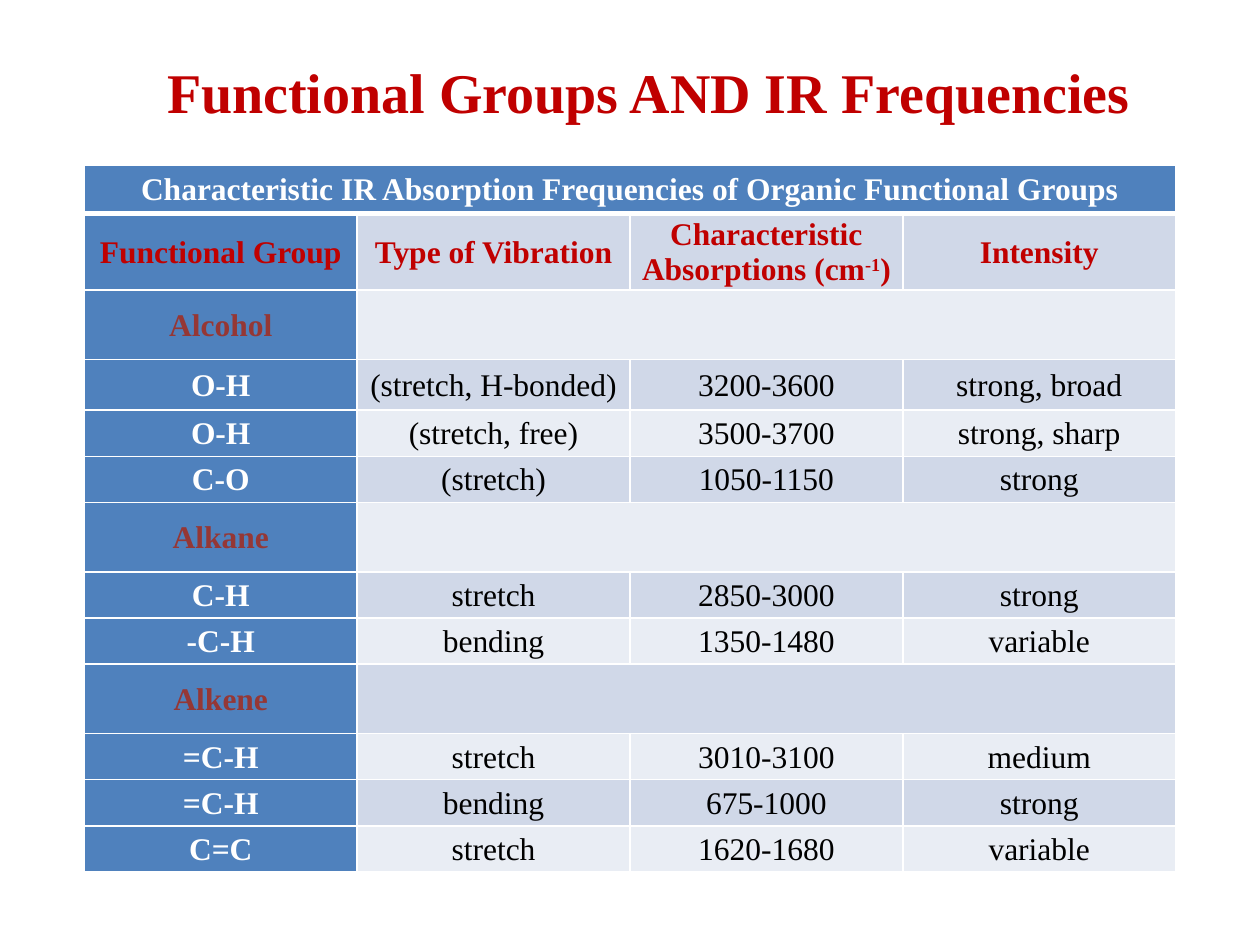
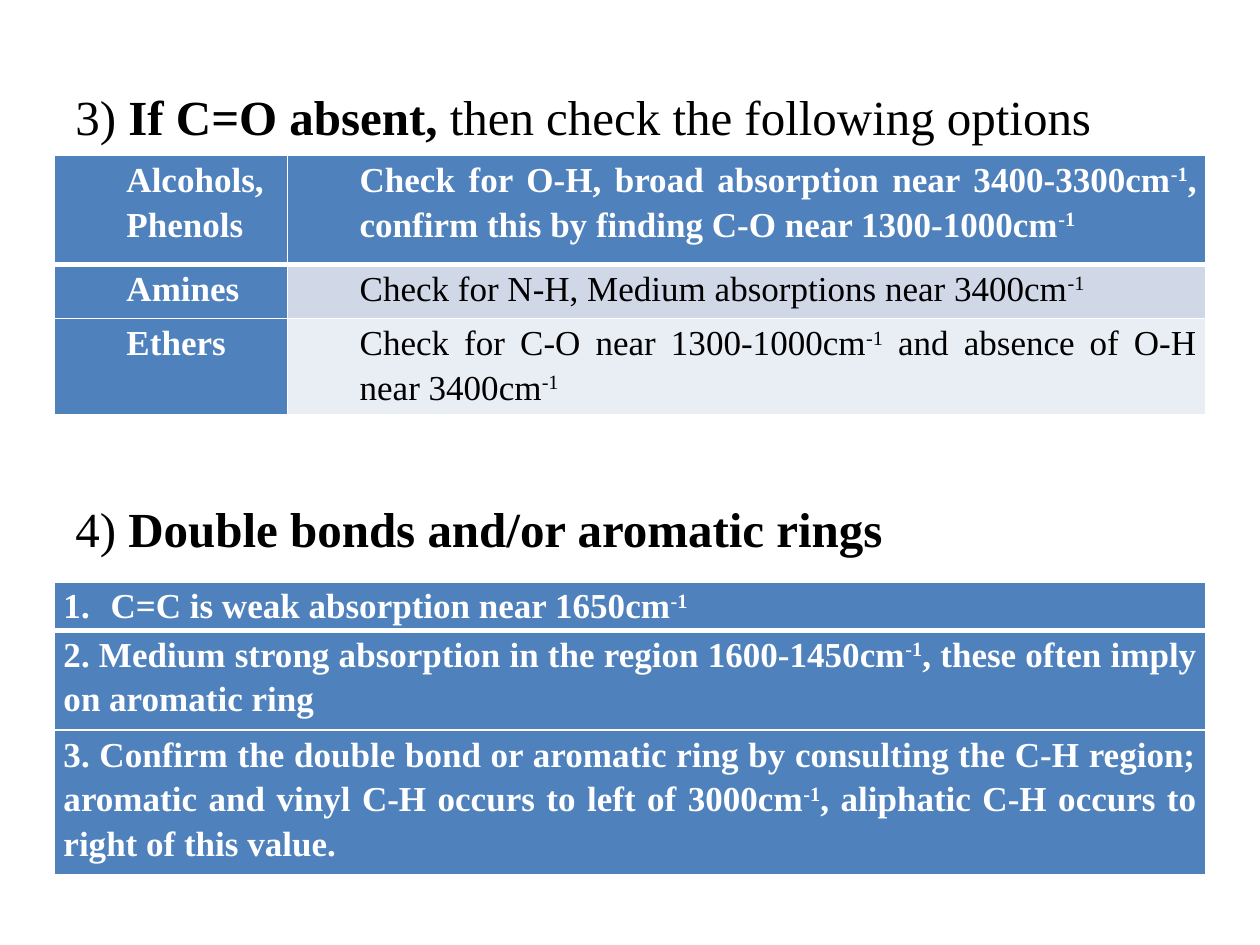
from lxml import etree
from pptx import Presentation
from pptx.dml.color import RGBColor
from pptx.enum.text import MSO_ANCHOR as Anchor, PP_ALIGN as Align
from pptx.oxml.ns import qn
from pptx.util import Cm, Pt

FONT = "Times New Roman"
BLUE, WHITE, BLACK = "4F81BD", "FFFFFF", "000000"
RED, BROWN = "C00000", "953735"
BANDS = ("E9EDF4", "D0D8E8")

TITLE_ONLY, BLANK = 5, 6

# The last cell of a short row spans the remaining columns.
FREQUENCIES = [
    ("Characteristic IR Absorption Frequencies of Organic Functional Groups",),
    ("Functional Group", "Type of Vibration",
     "Characteristic Absorptions (cm^-1^)", "Intensity"),
    ("Alcohol", ""),
    ("O-H", "(stretch, H-bonded)", "3200-3600", "strong, broad"),
    ("O-H", "(stretch, free)", "3500-3700", "strong, sharp"),
    ("C-O", "(stretch)", "1050-1150", "strong"),
    ("Alkane", ""),
    ("C-H", "stretch", "2850-3000", "strong"),
    ("-C-H", "bending", "1350-1480", "variable"),
    ("Alkene", ""),
    ("=C-H", "stretch", "3010-3100", "medium"),
    ("=C-H", "bending", "675-1000", "strong"),
    ("C=C", "stretch", "1620-1680", "variable"),
]
OPTIONS = [
    ("Alcohols, Phenols",
     "Check for O-H, broad absorption near 3400-3300cm^-1^, "
     "confirm this by finding C-O near 1300-1000cm^-1^"),
    ("Amines", "Check for N-H, Medium absorptions near 3400cm^-1^"),
    ("Ethers", "Check for C-O near 1300-1000cm^-1^ and absence of O-H near 3400cm^-1^"),
]
DOUBLE_BONDS = [
    ("C=C is weak absorption near 1650cm^-1^",),
    ("2. Medium strong absorption in the region 1600-1450cm^-1^, "
     "these often imply on aromatic ring",),
    ("3. Confirm the double bond or aromatic ring by consulting the C-H region; "
     "aromatic and vinyl C-H occurs to left of 3000cm^-1^, "
     "aliphatic C-H occurs to right of this value.",),
]


def rgb(value):
    return RGBColor.from_string(value)


def set_font(font, size, color, bold=None):
    font.name, font.size, font.bold = FONT, Pt(size), bold
    font.color.rgb = rgb(color)


def add_runs(p, text):
    """Add text to p, raising the parts between carets."""
    for i, part in enumerate(text.split("^")):
        if part:
            r = p.add_run()
            r.text = part
            if i % 2:
                r._r.get_or_add_rPr().set("baseline", "30000")


def set_indent(p, left, first=0):
    pPr = p._p.get_or_add_pPr()
    pPr.set("marL", str(Cm(left)))
    pPr.set("indent", str(Cm(first)))


def set_borders(cell, top, bottom):
    """Draw white cell borders; top and bottom are widths in points."""
    tcPr = cell._tc.get_or_add_tcPr()
    for i, (side, width) in enumerate(zip("LRTB", (1, 1, top, bottom))):
        ln = etree.Element(qn("a:ln" + side), w=str(Pt(width)))
        fill = etree.SubElement(ln, qn("a:solidFill"))
        etree.SubElement(fill, qn("a:srgbClr"), val=WHITE)
        tcPr.insert(i, ln)


class Deck:
    def __init__(self):
        self.prs = Presentation()
        self.prs.slide_width, self.prs.slide_height = Cm(25.4), Cm(19.05)
        self.s = None

    def new_slide(self, layout):
        self.s = self.prs.slides.add_slide(self.prs.slide_layouts[layout])

    def title(self, text, left, top, width, height):
        sp = self.s.shapes.title
        sp.left, sp.top, sp.width, sp.height = map(Cm, (left, top, width, height))
        tf = sp.text_frame
        tf.text, tf.vertical_anchor = text, Anchor.MIDDLE
        p = tf.paragraphs[0]
        p.alignment = Align.CENTER
        set_font(p.font, 32, RED, True)

    def heading(self, top, *parts):
        """Add a heading from (text, bold) parts."""
        sp = self.s.shapes.add_textbox(Cm(1.27), Cm(top), Cm(22.86), Cm(1.4))
        sp.text_frame.word_wrap = True
        p = sp.text_frame.paragraphs[0]
        set_font(p.font, 28, BLACK)
        for text, bold in parts:
            r = p.add_run()
            r.text, r.font.bold = text, bold

    def table(self, rows, left, top, widths, heights, size, align,
              anchor=Anchor.TOP, margins=(0.18, 0), spacing=None):
        """Add a table with a blue first row and column and banded rows."""
        frame = self.s.shapes.add_table(len(rows), len(widths), Cm(left), Cm(top),
                                        Cm(sum(widths)), Cm(sum(heights)))
        table = frame.table
        table.first_col = True
        for column, width in zip(table.columns, widths):
            column.width = Cm(width)
        last = len(widths) - 1
        for i, (texts, height) in enumerate(zip(rows, heights)):
            table.rows[i].height = Cm(height)
            for j in range(len(widths)):
                cell = table.cell(i, j)
                head = i == 0 or j == 0
                cell.fill.solid()
                cell.fill.fore_color.rgb = rgb(BLUE if head else BANDS[i % 2])
                set_borders(cell, 3 if i == 1 else 1, 3 if i == 0 else 1)
                cell.margin_left = cell.margin_right = Cm(margins[0])
                cell.margin_top, cell.margin_bottom = Cm(margins[1]), 0
                cell.vertical_anchor = anchor
                p = cell.text_frame.paragraphs[0]
                p.alignment, p.line_spacing = align, spacing
                set_font(p.font, size, WHITE if head else BLACK, head)
                if j < len(texts):
                    add_runs(p, texts[j])
            if len(texts) <= last:
                table.cell(i, len(texts) - 1).merge(table.cell(i, last))
        return table


def frequency_slide(deck):
    deck.new_slide(TITLE_ONLY)
    deck.title("Functional Groups AND IR Frequencies", 1.27, 0.76, 23.62, 2.16)
    heights = [0.97, 1.55, 1.4, 1.02] + [0.93] * 9
    groups = [i for i, texts in enumerate(FREQUENCIES) if texts[-1] == ""]
    for i in groups:
        heights[i] = 1.4
    table = deck.table(FREQUENCIES, 1.7, 3.33, [5.5] * 4, heights, 18,
                       Align.CENTER, Anchor.MIDDLE, (0.03, 0.03))
    for cell in table.rows[1].cells:
        set_font(cell.text_frame.paragraphs[0].font, 18, RED, True)
    for i in groups:
        set_font(table.cell(i, 0).text_frame.paragraphs[0].font, 18, BROWN, True)


def options_slide(deck):
    deck.new_slide(BLANK)
    body = dict(size=20, align=Align.JUSTIFY, spacing=1.15)
    deck.heading(1.61, ("3) ", False), ("If C=O absent, ", True),
                 ("then check the following options", False))
    table = deck.table(OPTIONS, 1.1, 3.13, [4.7, 18.5], [2.2, 1.09, 1.8], **body)
    for cell in table.iter_cells():
        set_indent(cell.text_frame.paragraphs[0], 1.27)

    deck.heading(9.92, ("4) ", False), ("Double bonds and/or aromatic rings", True))
    table = deck.table(DOUBLE_BONDS, 1.1, 11.73, [23.2], [0.93, 2.01, 2.69], **body)
    p = table.cell(0, 0).text_frame.paragraphs[0]
    set_indent(p, 0.95, -0.95)
    number = etree.Element(qn("a:buAutoNum"), type="arabicPeriod")
    p._p.pPr.find(qn("a:defRPr")).addprevious(number)


def main():
    deck = Deck()
    frequency_slide(deck)
    options_slide(deck)
    deck.prs.save("out.pptx")


if __name__ == "__main__":
    main()
